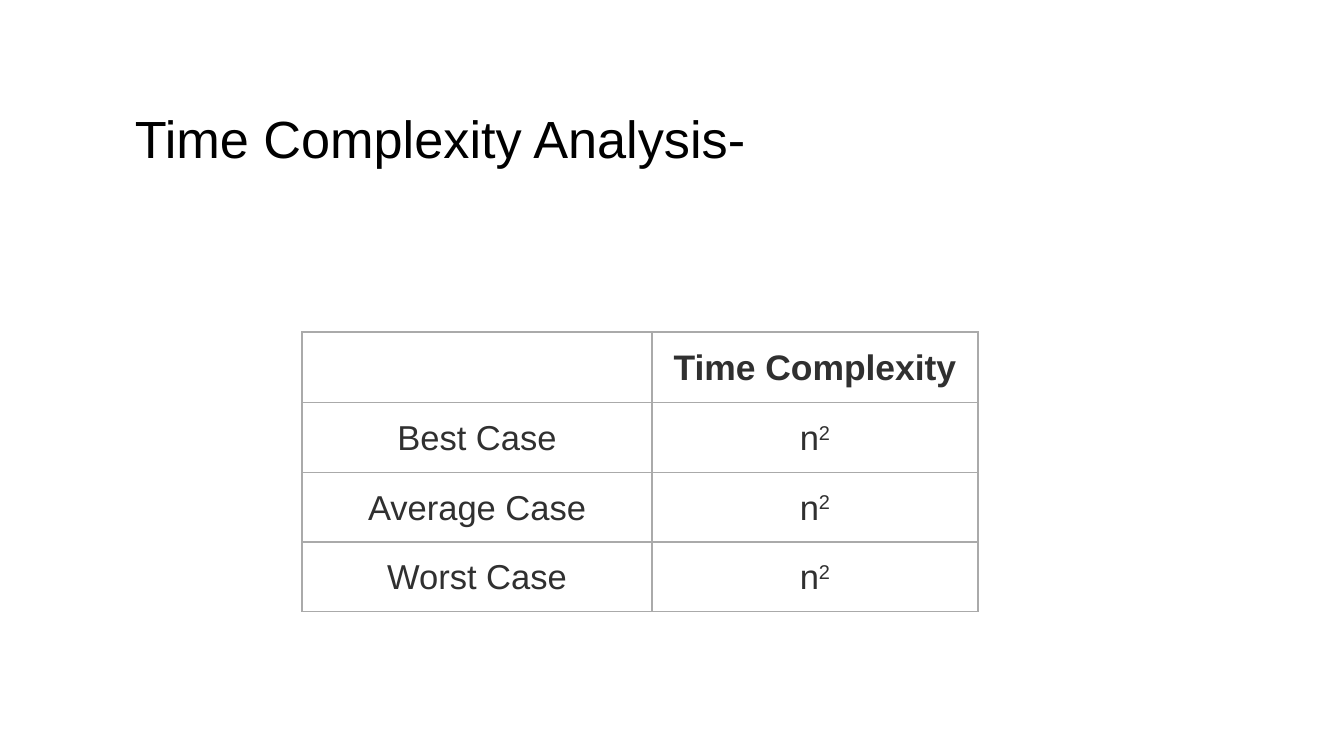
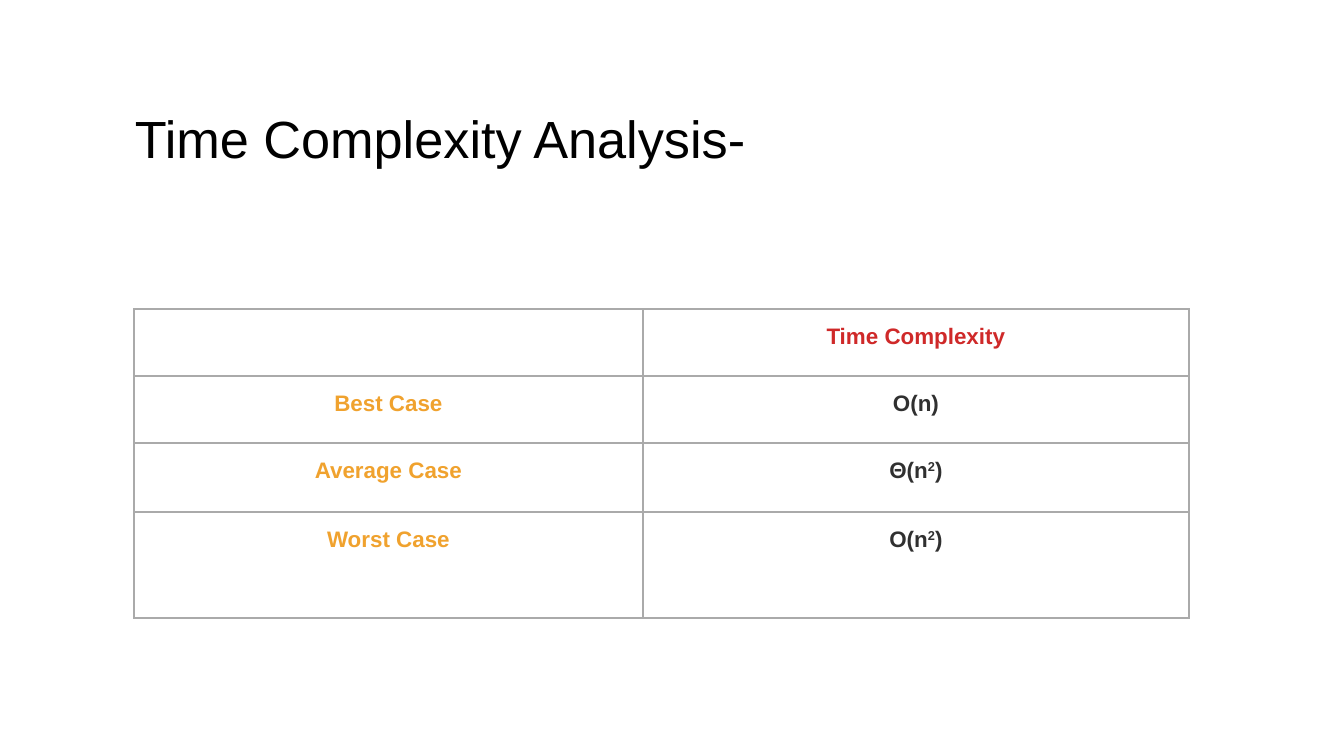
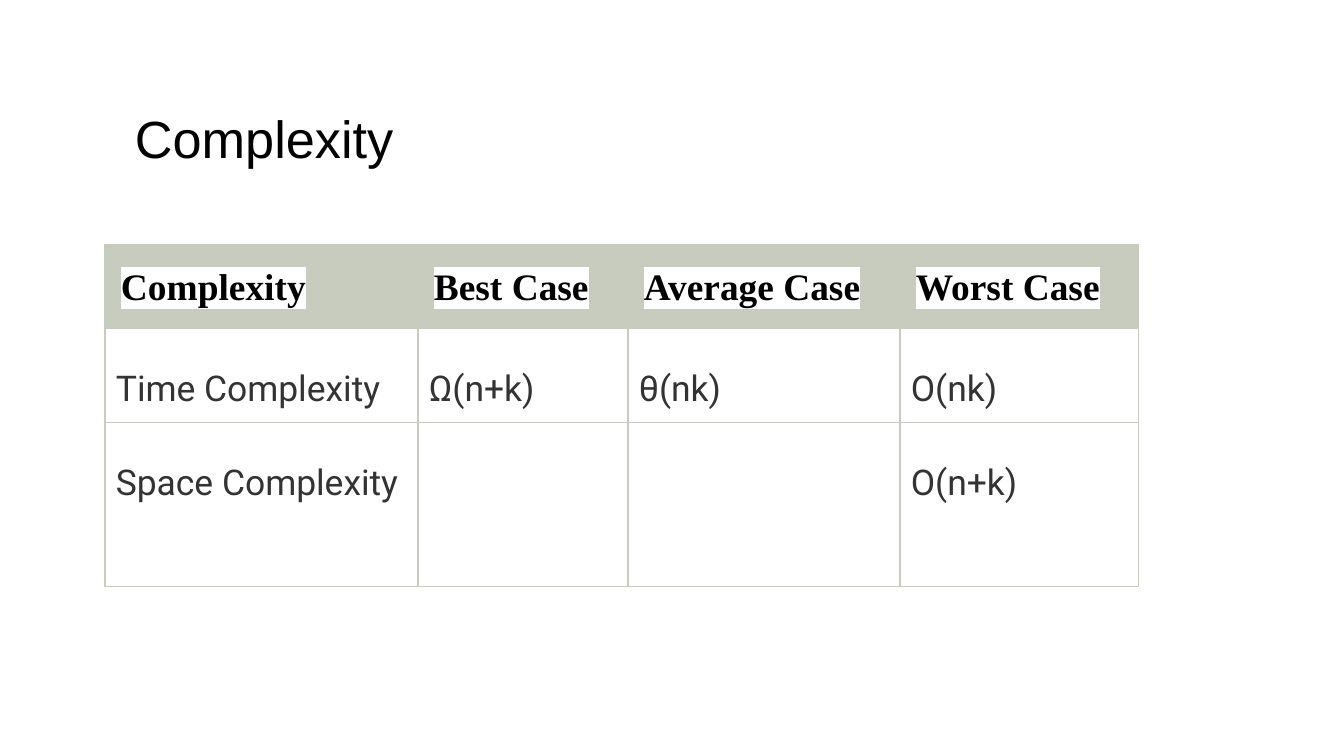
from dataclasses import dataclass

from lxml import etree
from pptx import Presentation
from pptx.dml.color import RGBColor
from pptx.enum.text import MSO_ANCHOR, PP_ALIGN
from pptx.oxml.ns import qn
from pptx.util import Emu, Pt

EMU_PER_PX = 914400 / 134.4
SLIDE_WIDTH, SLIDE_HEIGHT = 1344, 756
BLANK_LAYOUT = 6
MIDDLE = MSO_ANCHOR.MIDDLE
LEFT, CENTER, JUSTIFY = PP_ALIGN.LEFT, PP_ALIGN.CENTER, PP_ALIGN.JUSTIFY

COLORS = {
    "white": "FFFFFF",
    "black": "000000",
    "ink": "303030",
    "body": "333333",
    "red": "CF2929",
    "amber": "F0A22E",
    "grid": "AAAAAA",
    "sage": "C7CCBE",
}


def px(length):
    return Emu(round(length * EMU_PER_PX))


@dataclass
class CellStyle:
    size: float
    color: str
    bold: bool = False
    font: str = "Arial"
    align: PP_ALIGN = CENTER
    spacing: float = 1.15
    margins: tuple = (13, 11)
    fill: str = "white"
    highlight: str = ""


class Deck:
    """Builds slides that share one title style and one table style."""

    def __init__(self):
        self.presentation = Presentation()
        self.presentation.slide_width = px(SLIDE_WIDTH)
        self.presentation.slide_height = px(SLIDE_HEIGHT)
        self.slide = None

    def add_slide(self, title):
        layout = self.presentation.slide_layouts[BLANK_LAYOUT]
        self.slide = self.presentation.slides.add_slide(layout)
        self.add_title(title)

    def add_title(self, text):
        shape = self.slide.shapes.add_textbox(px(126), px(67), px(1089), px(149))
        frame = shape.text_frame
        frame.word_wrap = True
        frame.vertical_anchor = MIDDLE
        frame.margin_left = frame.margin_right = px(9)
        frame.margin_top = frame.margin_bottom = px(5)
        self.fill_paragraph(
            frame.paragraphs[0], text, CellStyle(28, "black", align=LEFT, spacing=0.9))

    def fill_paragraph(self, paragraph, text, style):
        """Set text in which ^ switches superscript on and off."""
        paragraph.alignment = style.align
        paragraph.line_spacing = style.spacing
        font = paragraph.font
        font.name, font.size, font.bold = style.font, Pt(style.size), style.bold
        font.color.rgb = RGBColor.from_string(COLORS[style.color])
        for index, part in enumerate(text.split("^")):
            if not part:
                continue
            run = paragraph.add_run()
            run.text = part
            properties = run._r.get_or_add_rPr()
            if index % 2:
                properties.set("baseline", "30000")
            if style.highlight:
                highlight = etree.SubElement(properties, qn("a:highlight"))
                etree.SubElement(highlight, qn("a:srgbClr"), val=COLORS[style.highlight])

    def add_borders(self, cell, color):
        properties = cell._tc.get_or_add_tcPr()
        for side in ("a:lnL", "a:lnR", "a:lnT", "a:lnB"):
            line = etree.SubElement(properties, qn(side), w=str(Pt(0.75)))
            fill = etree.SubElement(line, qn("a:solidFill"))
            etree.SubElement(fill, qn("a:srgbClr"), val=COLORS[color])

    def add_table(self, left, top, widths, heights, rows, style_of, border):
        """Add a table whose cell styles come from style_of(row, column)."""
        frame = self.slide.shapes.add_table(
            len(heights), len(widths), px(left), px(top), px(sum(widths)), px(sum(heights)))
        table = frame.table
        table.first_row = table.horz_banding = False
        for column, width in zip(table.columns, widths):
            column.width = px(width)
        for row, height in zip(table.rows, heights):
            row.height = px(height)
        for row_index, row in enumerate(rows):
            for column_index, text in enumerate(row):
                cell = table.cell(row_index, column_index)
                style = style_of(row_index, column_index)
                self.add_borders(cell, border)
                cell.fill.solid()
                cell.fill.fore_color.rgb = RGBColor.from_string(COLORS[style.fill])
                side, end = style.margins
                cell.margin_left = cell.margin_right = px(side)
                cell.margin_top = cell.margin_bottom = px(end)
                if text:
                    self.fill_paragraph(cell.text_frame.paragraphs[0], text, style)


def add_quadratic_slide(deck):
    header = CellStyle(19, "ink", bold=True)
    body = CellStyle(18.5, "ink")
    cases = ("Best Case", "Average Case", "Worst Case")
    deck.add_slide("Time Complexity Analysis-")
    deck.add_table(
        302, 332, (350, 326), (67,) * 4,
        [("", "Time Complexity")] + [(case, "n^2") for case in cases],
        lambda row, column: body if row else header, "grid")


def add_bounds_slide(deck):
    header = CellStyle(12, "red", bold=True)
    case = CellStyle(12, "amber", bold=True)
    bound = CellStyle(12, "ink", bold=True)
    deck.add_slide("Time Complexity Analysis-")
    deck.add_table(
        134, 309, (509, 546), (67, 67, 69, 106),
        [("", "Time Complexity"),
         ("Best Case", "O(n)"),
         ("Average Case", "Θ(n^2^)"),
         ("Worst Case", "O(n^2^)")],
        lambda row, column: header if row == 0 else (case, bound)[column], "grid")


def add_time_and_space_slide(deck):
    header = CellStyle(20, "black", True, "Times New Roman", LEFT,
                       margins=(16, 16), fill="sage", highlight="white")
    body = CellStyle(19, "body", False, "Roboto", JUSTIFY, 1.7, (11, 11))
    deck.add_slide("Complexity")
    deck.add_table(
        105, 245, (313, 210, 272, 239), (81, 93, 164),
        [("Complexity", "Best Case", "Average Case", "Worst Case"),
         ("Time Complexity", "Ω(n+k)", "θ(nk)", "O(nk)"),
         ("Space Complexity", "", "", "O(n+k)")],
        lambda row, column: body if row else header, "sage")


def main():
    deck = Deck()
    add_quadratic_slide(deck)
    add_bounds_slide(deck)
    add_time_and_space_slide(deck)
    deck.presentation.save("out.pptx")


if __name__ == "__main__":
    main()
